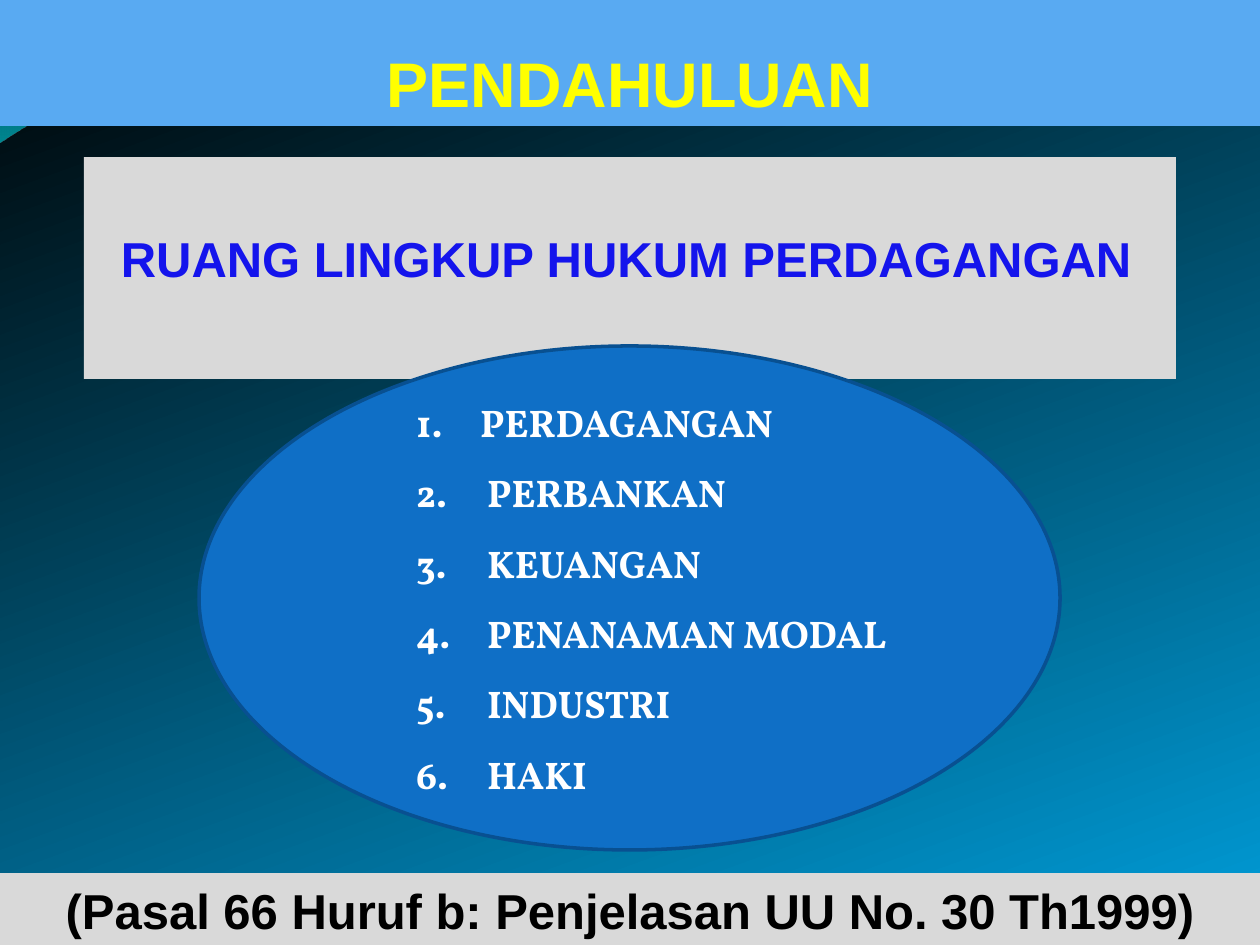
"""Builds the slide on the scope of commercial law."""
from dataclasses import dataclass

import lxml.etree
import pptx
import pptx.dml.color
import pptx.enum.shapes
import pptx.enum.text
import pptx.oxml.ns
import pptx.util

SCALE = 914400 / 126
ANCHOR = pptx.enum.text.MSO_ANCHOR
SHAPE = pptx.enum.shapes.MSO_SHAPE
qn = pptx.oxml.ns.qn


def px(length):
    """Turn px into EMU."""
    return pptx.util.Emu(round(length * SCALE))


def rgb(value):
    """Turn a hex string into a colour."""
    return pptx.dml.color.RGBColor.from_string(value)


def curve(start, first, second, end, steps=16):
    """Return points along a cubic Bezier curve, without its start."""
    points = []
    for step in range(1, steps + 1):
        t = step / steps
        weights = ((1 - t) ** 3, 3 * t * (1 - t) ** 2, 3 * t * t * (1 - t), t ** 3)
        knots = (start, first, second, end)
        points.append(tuple(round(sum(w * k[axis] for w, k in zip(weights, knots)))
                            for axis in (0, 1)))
    return points


@dataclass(frozen=True)
class Theme:
    """Colours, fonts and type sizes of the slide."""
    night: str = "000000"
    sky: str = "009DD9"
    bar: str = "59AAF2"
    panel: str = "D9D9D9"
    oval: str = "0F6FC6"
    oval_edge: str = "085091"
    title: str = "FFFF00"
    heading: str = "1414EC"
    item: str = "FFFFFF"
    source: str = "000000"
    sans: str = "Arial"
    serif: str = "Vollkorn"
    title_size: int = 36
    heading_size: int = 28
    item_size: int = 22


class Deck:
    """Holds the theme and the current slide, and draws its elements."""

    def __init__(self, theme):
        """Open a presentation with one slide of title and list."""
        self.theme = theme
        self.presentation = pptx.Presentation()
        self.presentation.slide_width = px(1260)
        self.presentation.slide_height = px(945)
        layout = self.presentation.slide_layouts[1]
        self.slide = self.presentation.slides.add_slide(layout)

    def gradient(self, fill, colours, angle):
        """Apply a two-colour gradient turning clockwise by angle."""
        fill.gradient()
        fill.gradient_angle = 360 - angle
        for position, (stop, colour) in enumerate(zip(fill.gradient_stops, colours)):
            stop.color.rgb = rgb(colour)
            stop.position = position

    def wave(self, points, colours, opacities):
        """Draw a translucent closed outline."""
        builder = self.slide.shapes.build_freeform(*points[0], scale=SCALE)
        builder.add_line_segments(points[1:], close=True)
        outline = builder.convert_to_shape()
        outline.shadow.inherit = False
        outline.line.fill.background()
        self.gradient(outline.fill, colours, 90)
        stops = outline.element.spPr.iter(qn("a:srgbClr"))
        for colour, opacity in zip(stops, opacities):
            lxml.etree.SubElement(colour, qn("a:alpha"), val=str(opacity * 1000))

    def shape(self, kind, box, fill, edge=None):
        """Draw a filled preset shape."""
        drawn = self.slide.shapes.add_shape(kind, *map(px, box))
        drawn.shadow.inherit = False
        drawn.fill.solid()
        drawn.fill.fore_color.rgb = rgb(fill)
        if edge:
            drawn.line.color.rgb = rgb(edge)
            drawn.line.width = pptx.util.Pt(2)
        else:
            drawn.line.fill.background()
        return drawn

    def placeholder(self, index, box):
        """Move a placeholder to a box, in front of all that is drawn."""
        holder = self.slide.placeholders[index]
        holder.left, holder.top, holder.width, holder.height = map(px, box)
        self.slide.shapes.element.append(holder.element)
        return holder

    def frame(self, holder, anchor, insets=(13, 6, 13, 6)):
        """Set wrapping, anchor and insets, and return the text frame."""
        frame = holder.text_frame
        frame.word_wrap = True
        frame.auto_size = pptx.enum.text.MSO_AUTO_SIZE.NONE
        frame.vertical_anchor = anchor
        (frame.margin_left, frame.margin_top,
         frame.margin_right, frame.margin_bottom) = map(px, insets)
        return frame

    def style(self, paragraph, face, size, colour):
        """Set the bold font of a paragraph."""
        font = paragraph.font
        font.name, font.size, font.bold = face, pptx.util.Pt(size), True
        font.color.rgb = rgb(colour)

    def line(self, holder, text, size, colour, anchor, insets=(13, 6, 13, 6)):
        """Write one centred line."""
        paragraph = self.frame(holder, anchor, insets).paragraphs[0]
        paragraph.text = text
        paragraph.alignment = pptx.enum.text.PP_ALIGN.CENTER
        paragraph.space_before = pptx.util.Pt(0)
        self.style(paragraph, self.theme.sans, size, colour)

    def title(self, text, box):
        """Write the title on its coloured bar."""
        bar = self.placeholder(0, box)
        bar.fill.solid()
        bar.fill.fore_color.rgb = rgb(self.theme.bar)
        self.line(bar, text, self.theme.title_size, self.theme.title, ANCHOR.BOTTOM)

    def panel(self, text, box, colour, anchor, insets=(13, 6, 13, 6)):
        """Write a heading on a grey panel."""
        panel = self.shape(SHAPE.RECTANGLE, box, self.theme.panel)
        self.line(panel, text, self.theme.heading_size, colour, anchor, insets)

    def numbered(self, items, box):
        """Write the numbered list."""
        theme = self.theme
        frame = self.frame(self.placeholder(1, box), ANCHOR.MIDDLE)
        for number, item in enumerate(items):
            paragraph = frame.add_paragraph() if number else frame.paragraphs[0]
            paragraph.text = item
            paragraph.alignment = pptx.enum.text.PP_ALIGN.LEFT
            paragraph.space_before = pptx.util.Pt(13.8 if number else 0)
            margin = 149 if number else 142
            properties = paragraph._p.get_or_add_pPr()
            properties.set("marL", str(px(margin)))
            properties.set("indent", str(px(78 - margin)))
            tint = lxml.etree.SubElement(properties, qn("a:buClr"))
            lxml.etree.SubElement(tint, qn("a:srgbClr"), val=theme.item)
            lxml.etree.SubElement(properties, qn("a:buFont"), typeface=theme.serif)
            lxml.etree.SubElement(properties, qn("a:buAutoNum"), type="arabicPeriod")
            self.style(paragraph, theme.serif, theme.item_size, theme.item)


def main():
    """Draw the slide and save it."""
    theme = Theme()
    deck = Deck(theme)
    deck.gradient(deck.slide.background.fill, (theme.night, theme.sky), 70)
    left_wave = [(0, 0), (554, 0),
                 *curve((554, 0), (599, 21), (837, 79), (955, 79)),
                 *curve((955, 79), (1075, 79), (1207, 33), (1260, 11)),
                 (1260, 45),
                 *curve((1260, 45), (1239, 55), (1096, 96), (940, 94)),
                 *curve((940, 94), (784, 94), (481, 35), (324, 43)),
                 *curve((324, 43), (163, 44), (58, 105), (0, 142))]
    right_wave = [(604, 0),
                  *curve((604, 0), (641, 14), (859, 78), (969, 82)),
                  *curve((969, 82), (1079, 87), (1211, 40), (1260, 26)),
                  (1260, 0)]
    deck.wave(left_wave, ("0079AF", "00EBF8"), (45, 55))
    deck.wave(right_wave, ("00ADB6", "009BE5"), (45, 30))
    deck.title("PENDAHULUAN", (0, 0, 1260, 126))
    deck.panel("RUANG LINGKUP HUKUM PERDAGANGAN", (84, 157, 1092, 222),
               theme.heading, ANCHOR.TOP, (13, 71, 21, 6))
    deck.shape(SHAPE.OVAL, (199, 346, 861, 504), theme.oval, theme.oval_edge)
    deck.numbered(("PERDAGANGAN", "PERBANKAN", "KEUANGAN",
                   "PENANAMAN MODAL", "INDUSTRI", "HAKI"), (325, 378, 609, 440))
    deck.panel("(Pasal 66 Huruf b: Penjelasan UU No. 30 Th1999)", (0, 873, 1260, 72),
               theme.source, ANCHOR.BOTTOM)
    deck.presentation.save("out.pptx")


if __name__ == "__main__":
    main()
